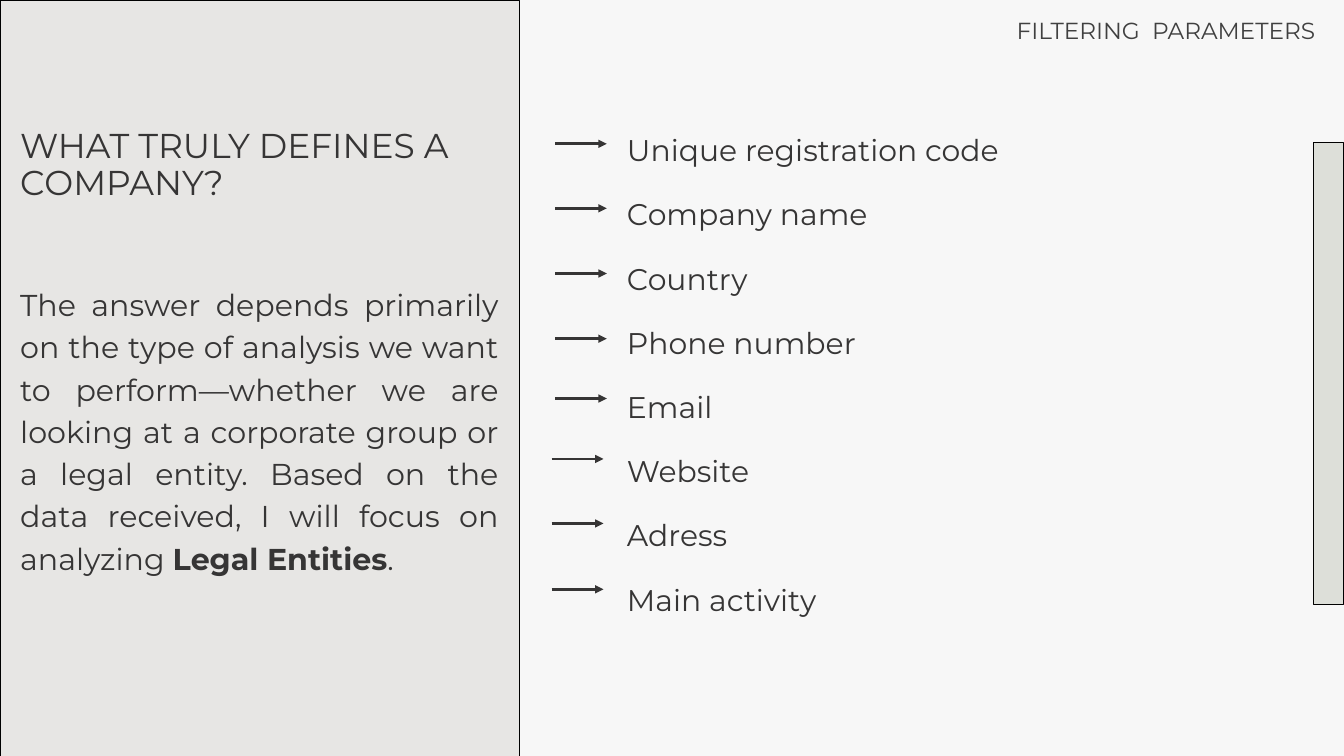
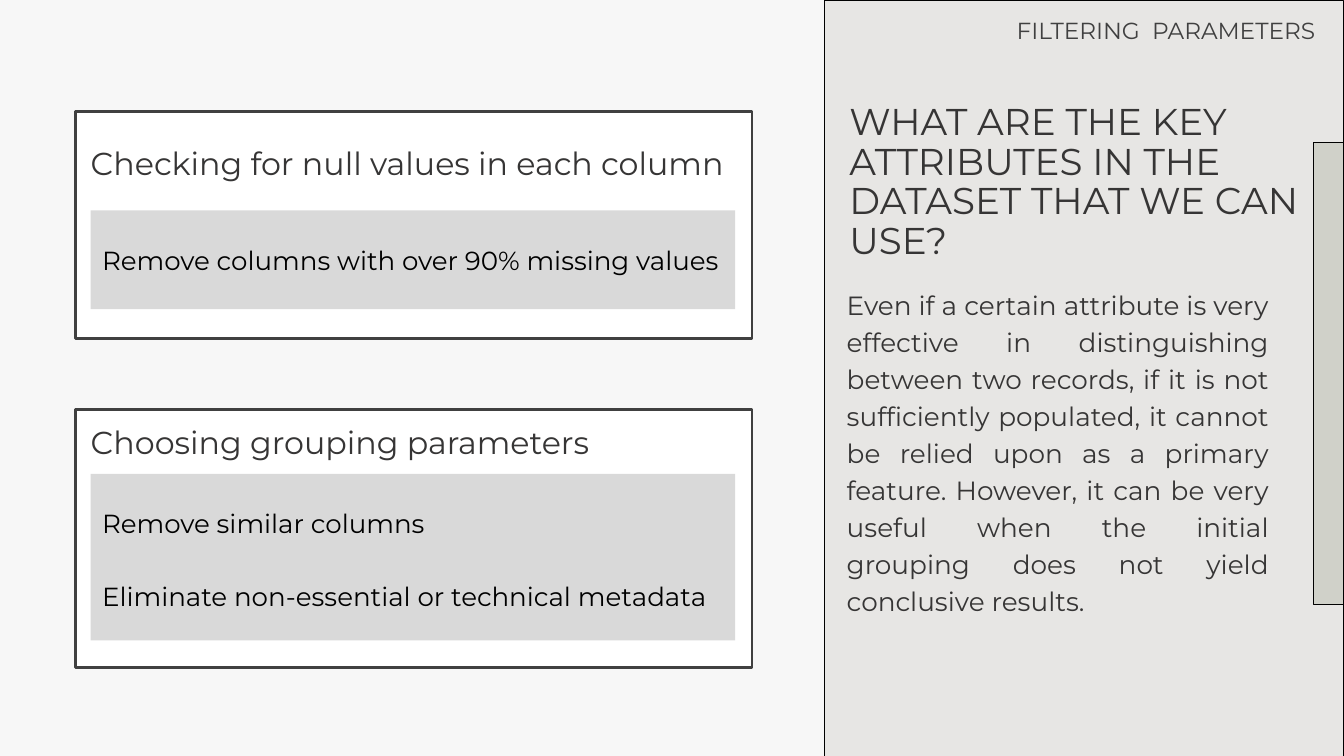
from lxml import etree
from pptx import Presentation
from pptx.dml.color import RGBColor
from pptx.enum.shapes import MSO_CONNECTOR, MSO_SHAPE
from pptx.enum.text import MSO_ANCHOR, MSO_AUTO_SIZE, PP_ALIGN
from pptx.oxml.ns import qn
from pptx.util import Inches, Pt

RECTANGLE = MSO_SHAPE.RECTANGLE
STRAIGHT = MSO_CONNECTOR.STRAIGHT
TOP = MSO_ANCHOR.TOP
NO_AUTOFIT = MSO_AUTO_SIZE.NONE
LEFT = PP_ALIGN.LEFT
JUSTIFY = PP_ALIGN.JUSTIFY

FONT = "Montserrat"
BACKGROUND = "F7F7F7"
PANEL = "E7E6E4"
TAB = "727959"
INK = "363535"
GRAPHITE = "404040"
BLACK = "000000"
WHITE = "FFFFFF"
GREY = "D9D9D9"

WIDTH, HEIGHT = 20, 11.25
PANEL_WIDTH = 7.73
ARROW_LENGTH = 0.77
CARD_LEFT, CARD_WIDTH = 1.12, 10.07
INSET_LEFT, INSET_WIDTH = 1.35, 9.59

HEADER = "FILTERING  PARAMETERS"

DEFINITION_TITLE = "WHAT TRULY DEFINES A COMPANY?"
DEFINITION = (
    "The answer depends primarily on the type of analysis we want to perform—whether "
    "we are looking at a corporate group or a legal entity. Based on the data received, "
    "I will focus on analyzing **Legal Entities**."
)
ATTRIBUTES = [
    ("Unique registration code", 8.26, 2.14),
    ("Company name", 8.26, 3.1),
    ("Country", 8.26, 4.07),
    ("Phone number", 8.26, 5.04),
    ("Email", 8.26, 5.93),
    ("Website", 8.21, 6.83),
    ("Adress", 8.21, 7.79),
    ("Main activity", 8.21, 8.77),
]

KEY_TITLE = "WHAT ARE THE KEY ATTRIBUTES IN THE DATASET THAT WE CAN USE?"
KEY_TEXT = (
    "Even if a certain attribute is very effective in distinguishing between two records, "
    "if it is not sufficiently populated, it cannot be relied upon as a primary feature. "
    "However, it can be very useful when the initial grouping does not yield conclusive results."
)
CARDS = [
    {
        "heading": "Checking for null values in each column",
        "steps": ["Remove columns with over 90% missing values"],
        "card": (1.66, 3.38),
        "inset": (3.13, 1.47),
        "heading_top": 2.04,
        "steps_top": 3.56,
    },
    {
        "heading": "Choosing grouping parameters",
        "steps": ["Remove similar columns", "Eliminate non-essential or technical metadata"],
        "card": (6.09, 3.84),
        "inset": (7.05, 2.48),
        "heading_top": 6.19,
        "steps_top": 7.47,
    },
]


def rgb(color):
    return RGBColor.from_string(color)


def add_block(slide, left, top, width, height, fill, line=None, weight=1):
    block = slide.shapes.add_shape(
        RECTANGLE, Inches(left), Inches(top), Inches(width), Inches(height)
    )
    block.shadow.inherit = False
    block.fill.solid()
    block.fill.fore_color.rgb = rgb(fill)
    if line:
        block.line.color.rgb = rgb(line)
        block.line.width = Pt(weight)
    else:
        block.line.fill.background()
    return block


def write(box, paragraphs, place, size, spacing, color=INK, align=JUSTIFY, gap=0):
    box.left, box.top, box.width, box.height = (Inches(length) for length in place)
    frame = box.text_frame
    frame.margin_left = frame.margin_top = frame.margin_right = frame.margin_bottom = 0
    frame.word_wrap = True
    frame.auto_size = NO_AUTOFIT
    frame.vertical_anchor = TOP
    for index, text in enumerate(paragraphs):
        para = frame.add_paragraph() if index else frame.paragraphs[0]
        para.alignment = align
        para.line_spacing = Pt(spacing)
        para.space_before = Pt(gap if index else 0)
        para.font.name = FONT
        para.font.size = Pt(size)
        para.font.color.rgb = rgb(color)
        for part, words in enumerate(text.split("**")):
            span = para.add_run()
            span.text = words
            if part % 2:
                span.font.bold = True
        if box.is_placeholder:
            properties = para._p.get_or_add_pPr()
            properties.set("marL", "0")
            properties.set("indent", "0")
            bullet = etree.Element(qn("a:buNone"))
            properties.find(qn("a:defRPr")).addprevious(bullet)


def add_text(slide, paragraphs, place, *style, **options):
    box = slide.shapes.add_textbox(0, 0, 0, 0)
    write(box, paragraphs, place, *style, **options)


def fill_placeholder(slide, box, paragraphs, place, *style, **options):
    write(box, paragraphs, place, *style, **options)
    slide.shapes._spTree.append(box._element)


def add_arrow(slide, left, top):
    arrow = slide.shapes.add_connector(
        STRAIGHT, Inches(left), Inches(top), Inches(left + ARROW_LENGTH), Inches(top)
    )
    arrow.line.color.rgb = rgb(INK)
    arrow.line.width = Pt(3)
    etree.SubElement(arrow.line._get_or_add_ln(), qn("a:tailEnd"), type="triangle")
    etree.SubElement(arrow._element.spPr, qn("a:effectLst"))


def add_page(deck, panel_left):
    page = deck.slides.add_slide(deck.slide_layouts[1])
    page.background.fill.solid()
    page.background.fill.fore_color.rgb = rgb(BACKGROUND)
    add_block(page, panel_left, 0, PANEL_WIDTH, HEIGHT, PANEL, BLACK)
    tab = add_block(page, 19.54, 2.12, 0.46, 6.88, TAB, BLACK)
    tab_color = tab._element.spPr.find(qn("a:solidFill")).find(qn("a:srgbClr"))
    etree.SubElement(tab_color, qn("a:alpha"), val="19000")
    add_text(page, [HEADER], (15.13, 0.29, 4.8, 0.37), 24.9, 26.6, color=GRAPHITE, align=LEFT)
    return page


def build_definition(deck):
    page = add_page(deck, 0)
    title, body = page.shapes.title, page.placeholders[1]
    fill_placeholder(
        page, title, [DEFINITION_TITLE], (0.3, 1.91, 7.12, 1.1), 36.9, 39.5, align=LEFT
    )
    labels = [label for label, left, top in ATTRIBUTES]
    fill_placeholder(page, body, labels, (9.33, 1.54, 10, 8.24), 32, 68.8)
    add_text(page, [DEFINITION], (0.3, 4.17, 7.12, 6.35), 32.3, 45.3)
    for label, left, top in ATTRIBUTES:
        add_arrow(page, left, top)


def build_key_attributes(deck):
    page = add_page(deck, WIDTH - PANEL_WIDTH)
    title, body = page.shapes.title, page.placeholders[1]
    fill_placeholder(page, title, [KEY_TITLE], (12.64, 1.53, 6.73, 2.36), 39.9, 42.7, align=LEFT)
    fill_placeholder(page, body, [KEY_TEXT], (12.6, 4.23, 6.28, 6.8), 28.2, 39.6)
    for card in CARDS:
        top, height = card["card"]
        add_block(page, CARD_LEFT, top, CARD_WIDTH, height, WHITE, GRAPHITE, 3)
        top, height = card["inset"]
        add_block(page, INSET_LEFT, top, INSET_WIDTH, height, GREY)
        heading_place = (INSET_LEFT, card["heading_top"], 9.7, 0.63)
        add_text(page, [card["heading"]], heading_place, 34, 47.6)
        steps_height = 0.52 if len(card["steps"]) == 1 else 1.6
        steps_place = (1.52, card["steps_top"], 9.4, steps_height)
        add_text(page, card["steps"], steps_place, 28, 39.2, color=BLACK, gap=39.2)


def main():
    deck = Presentation()
    deck.slide_width, deck.slide_height = Inches(WIDTH), Inches(HEIGHT)
    build_definition(deck)
    build_key_attributes(deck)
    deck.save("out.pptx")


if __name__ == "__main__":
    main()
